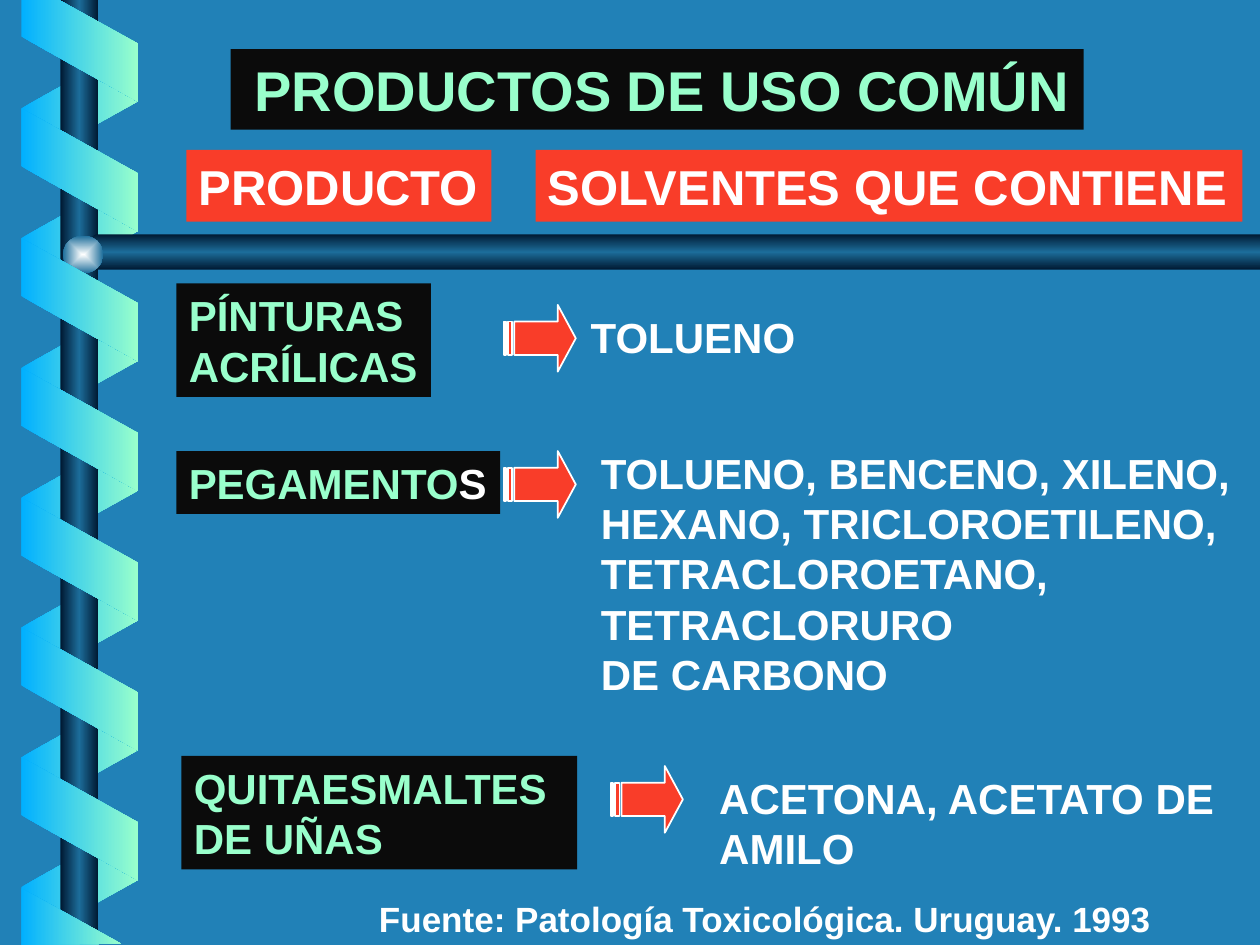
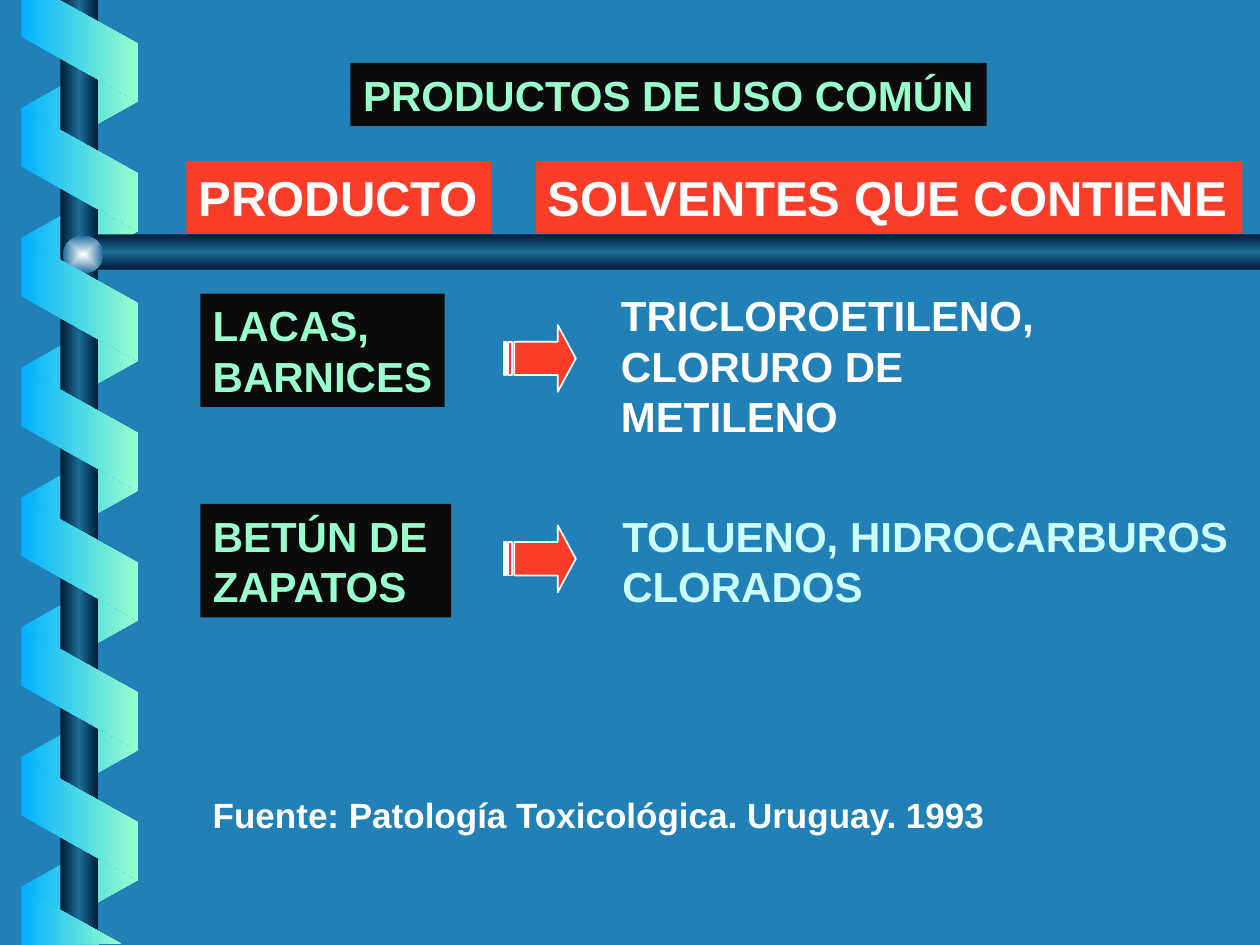
import lxml.etree
import pptx
import pptx.dml.color
import pptx.enum.shapes
import pptx.enum.text
import pptx.oxml.ns
import pptx.util

Inches = pptx.util.Inches
qn = pptx.oxml.ns.qn

BLUE, NAVY, STEEL = "2181B7", "001932", "1C6D9A"
SKY, MINT, ICE = "01B0FF", "99FFCC", "CCFFFF"
BLACK, RED, WHITE, PEARL = "0B0B0B", "F93D29", "FFFFFF", "FEFFFF"
RIBBON = [(0, SKY), (100, MINT)]
METAL = [(0, NAVY), (50, STEEL), (100, NAVY)]
SOURCE = "Fuente: Patología Toxicológica. Uruguay. 1993"


def rgb(color):
    return pptx.dml.color.RGBColor.from_string(color)


def fill_gradient(shape, stops, angle=None):
    """Fill with (percent, colour) stops; without an angle they spread from the centre."""
    shape.fill.gradient()
    gradient = shape._element.spPr.find(qn("a:gradFill"))
    for child in list(gradient):
        gradient.remove(child)
    stop_list = lxml.etree.SubElement(gradient, qn("a:gsLst"))
    for percent, color in stops:
        stop = lxml.etree.SubElement(stop_list, qn("a:gs"), pos=str(percent * 1000))
        lxml.etree.SubElement(stop, qn("a:srgbClr"), val=color)
    if angle is None:
        spread = lxml.etree.SubElement(gradient, qn("a:path"), path="rect")
        centre = dict.fromkeys("ltrb", "50000")
        lxml.etree.SubElement(spread, qn("a:fillToRect"), centre)
    else:
        lxml.etree.SubElement(gradient, qn("a:lin"), ang=str(angle * 60000), scaled="0")


class Deck:
    font = "Arial"

    def __init__(self):
        self.presentation = pptx.Presentation()
        self.presentation.slide_width = Inches(10)
        self.presentation.slide_height = Inches(7.5)
        self.layout = self.presentation.slide_layouts[6]
        background = self.layout.background.fill
        background.solid()
        background.fore_color.rgb = rgb(BLUE)
        self.slide = None

    def add_slide(self):
        self.slide = self.presentation.slides.add_slide(self.layout)

    def preset(self, kind, left, top, width, height):
        shape = self.slide.shapes.add_shape(
            kind, Inches(left), Inches(top), Inches(width), Inches(height))
        shape.shadow.inherit = False
        shape.line.fill.background()
        return shape

    def outline(self, points, stops, angle):
        corners = [(Inches(x), Inches(y)) for x, y in points]
        builder = self.slide.shapes.build_freeform(*corners[0])
        builder.add_line_segments(corners[1:], close=True)
        shape = builder.convert_to_shape()
        shape.shadow.inherit = False
        shape.line.fill.background()
        fill_gradient(shape, stops, angle)

    def ribbon_turn(self, left_top, right_top):
        self.outline([(0.17, left_top), (1.1, right_top),
                      (1.1, right_top + 0.46), (0.17, left_top + 0.46)], RIBBON, 0)

    def decorate_layout(self):
        """Draw the ribbon, rod and bar on the current slide, then move them to its layout."""
        shapes = pptx.enum.shapes.MSO_SHAPE
        pitch = 1.03
        for turn in range(7):
            top = 0.34 + turn * pitch
            self.ribbon_turn(top + 0.52, top)
        rod = self.preset(shapes.RECTANGLE, 0.48, 0, 0.3, 7.5)
        fill_gradient(rod, METAL, 0)
        self.outline([(10, 1.86), (0.76, 1.86), (0.6, 2), (0.76, 2.14), (10, 2.14)],
                     METAL, 90)
        knob = self.preset(shapes.OVAL, 0.5, 1.87, 0.32, 0.3)
        fill_gradient(knob, [(0, PEARL), (100, STEEL)])
        for turn in range(6):
            top = 0.86 + turn * pitch
            self.ribbon_turn(top, top + 0.52)
        self.outline([(0.17, 0), (0.17, 0.29), (1.1, 0.81), (1.1, 0.35), (0.47, 0)],
                     RIBBON, 0)
        self.outline([(0.96, 7.49), (0.17, 7.05), (0.17, 7.5)], RIBBON, 0)
        for shape in list(self.slide.shapes):
            self.layout.shapes._spTree.append(shape._element)

    def text(self, wording, left, top, width, height, color=WHITE, size=24, fill=None):
        box = self.slide.shapes.add_textbox(
            Inches(left), Inches(top), Inches(width), Inches(height))
        if fill:
            box.fill.solid()
            box.fill.fore_color.rgb = rgb(fill)
        frame = box.text_frame
        frame.word_wrap = False
        frame.auto_size = pptx.enum.text.MSO_AUTO_SIZE.SHAPE_TO_FIT_TEXT
        frame.text = wording
        for paragraph in frame.paragraphs:
            paragraph.font.name = self.font
            paragraph.font.size = pptx.util.Pt(size)
            paragraph.font.bold = True
            paragraph.font.color.rgb = rgb(color)
        return frame

    def title(self, left, top, width, height, size):
        return self.text("PRODUCTOS DE USO COMÚN", left, top, width, height,
                         MINT, size, BLACK)

    def headings(self, top):
        self.text("PRODUCTO", 1.48, top, 2.42, 0.57, size=28, fill=RED)
        self.text("SOLVENTES QUE CONTIENE", 4.25, top, 5.61, 0.57, size=28, fill=RED)

    def product(self, wording, left, top, width, height=0.9):
        """Add a black label whose slim right margin keeps each line whole."""
        frame = self.text(wording, left, top, width, height, MINT, fill=BLACK)
        frame.margin_right = Inches(0.05)
        return frame

    def arrow(self, left, top):
        arrow = self.preset(pptx.enum.shapes.MSO_SHAPE.STRIPED_RIGHT_ARROW,
                            left, top, 0.57, 0.53)
        arrow.adjustments[0] = 0.5
        arrow.adjustments[1] = 0.27
        arrow.fill.solid()
        arrow.fill.fore_color.rgb = rgb(RED)
        arrow.line.color.rgb = rgb(WHITE)
        arrow.line.width = pptx.util.Pt(1)

    def source(self, left, top):
        self.text(SOURCE, left, top, 6.37, 0.44, size=20)


def paints_and_glues(deck):
    title = deck.title(1.83, 0.39, 6.77, 0.64, 32)
    title.margin_left = Inches(0.19)
    deck.headings(1.19)

    deck.product("PÍNTURAS\nACRÍLICAS", 1.4, 2.25, 2.02)
    deck.arrow(4, 2.42)
    deck.text("TOLUENO", 4.59, 2.42, 1.83, 0.5)

    glues = deck.product("PEGAMENTO", 1.4, 3.58, 2.57, 0.5)
    plural = glues.paragraphs[0].add_run()
    plural.text = "S"
    plural.font.color.rgb = rgb(WHITE)
    deck.arrow(4, 3.58)
    deck.text("TOLUENO, BENCENO, XILENO,\nHEXANO, TRICLOROETILENO,\n"
              "TETRACLOROETANO,\nTETRACLORURO\nDE CARBONO", 4.67, 3.5, 5.29, 2.1)

    deck.product("QUITAESMALTES\nDE UÑAS", 1.44, 6, 3.14)
    deck.arrow(4.85, 6.08)
    deck.text("ACETONA, ACETATO DE\nAMILO", 5.61, 6.08, 4.29, 0.9)
    deck.source(2.91, 7.07)


def lacquers_and_polish(deck):
    title = deck.title(2.78, 0.5, 5.05, 0.5, 24)
    title.paragraphs[0].alignment = pptx.enum.text.PP_ALIGN.CENTER
    deck.headings(1.28)

    deck.product("LACAS,\nBARNICES", 1.59, 2.33, 1.94)
    deck.arrow(4, 2.58)
    deck.text("TRICLOROETILENO,\nCLORURO DE\nMETILENO", 4.83, 2.25, 3.57, 1.3)

    deck.product("BETÚN DE\nZAPATOS", 1.59, 4, 1.99)
    deck.arrow(4, 4.17)
    deck.text("TOLUENO, HIDROCARBUROS\nCLORADOS", 4.84, 4, 5.11, 0.9, ICE)
    deck.source(1.59, 6.25)


def main():
    deck = Deck()
    deck.add_slide()
    deck.decorate_layout()
    paints_and_glues(deck)
    deck.add_slide()
    lacquers_and_polish(deck)
    deck.presentation.save("out.pptx")


if __name__ == "__main__":
    main()
